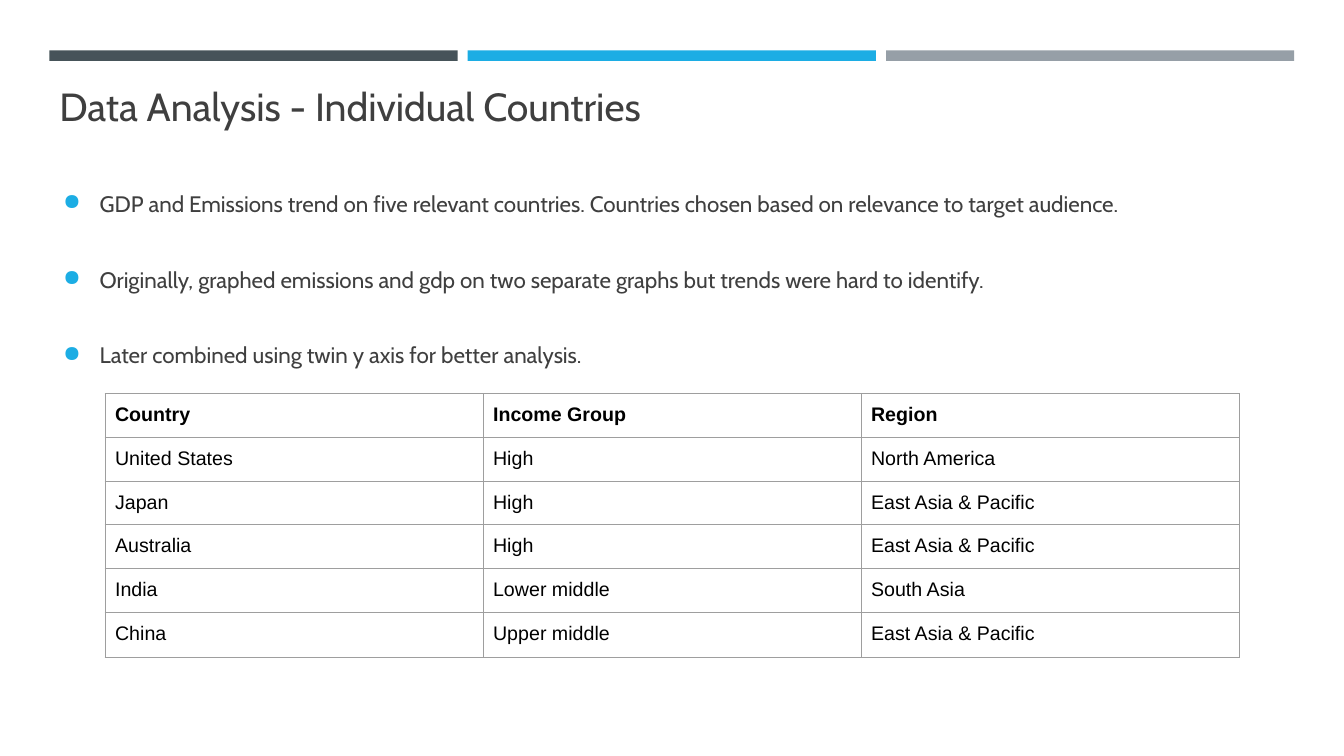
from lxml.etree import SubElement
from pptx import Presentation
from pptx.dml.color import RGBColor
from pptx.enum.shapes import MSO_SHAPE
from pptx.enum.text import MSO_ANCHOR
from pptx.oxml.ns import qn
from pptx.util import Pt

# Content
TITLE = "Data Analysis - Individual Countries"
BULLETS = [
    "GDP and Emissions trend on five relevant countries. Countries chosen based on relevance to target audience.",
    "Originally, graphed emissions and gdp on two separate graphs but trends were hard to identify.",
    "Later combined using twin y axis for better analysis.",
]
COUNTRIES = [
    ("Country", "Income Group", "Region"),
    ("United States", "High", "North America"),
    ("Japan", "High", "East Asia & Pacific"),
    ("Australia", "High", "East Asia & Pacific"),
    ("India", "Lower middle", "South Asia"),
    ("China", "Upper middle", "East Asia & Pacific"),
]

# Style
SLATE = RGBColor(0x46, 0x53, 0x59)
BLUE = RGBColor(0x1C, 0xAD, 0xE4)
GRAY = RGBColor(0x96, 0x9F, 0xA7)
TEXT = RGBColor(0x3F, 0x3F, 0x3F)
BLACK = RGBColor(0, 0, 0)
BORDER = RGBColor(0x9E, 0x9E, 0x9E)

# Layout in points
BAR_LEFT, BAR_TOP, BAR_WIDTH, BAR_HEIGHT, BAR_STEP = 35.3, 36, 291.6, 7.5, 298.8
TABLE_LEFT, TABLE_TOP, COLUMN_WIDTH = 75, 281.2, 270
ROW_HEIGHT, LAST_ROW_HEIGHT = 30.2, 32.2


def style_runs(paragraph, font_name, size, color, bold=False):
    for run in paragraph.runs:
        run.font.name = font_name
        run.font.size = Pt(size)
        run.font.color.rgb = color
        run.font.bold = bold


def add_text_frame(slide, left, top, width, height, anchor):
    box = slide.shapes.add_textbox(Pt(left), Pt(top), Pt(width), Pt(height))
    box.text_frame.word_wrap = True
    box.text_frame.vertical_anchor = anchor
    return box.text_frame


def add_bullet(paragraph):
    properties = paragraph._p.get_or_add_pPr()
    properties.set("marL", str(Pt(36)))
    properties.set("indent", str(Pt(-26)))
    color = SubElement(properties, qn("a:buClr"))
    SubElement(color, qn("a:srgbClr"), val=str(BLUE))
    SubElement(properties, qn("a:buChar"), char="●")


def add_borders(cell):
    properties = cell._tc.get_or_add_tcPr()
    for position, side in enumerate(("a:lnL", "a:lnR", "a:lnT", "a:lnB")):
        line = properties.makeelement(qn(side), {"w": str(Pt(0.75))})
        fill = SubElement(line, qn("a:solidFill"))
        SubElement(fill, qn("a:srgbClr"), val=str(BORDER))
        properties.insert(position, line)


def main():
    presentation = Presentation()
    presentation.slide_width, presentation.slide_height = Pt(960), Pt(540)
    slide = presentation.slides.add_slide(presentation.slide_layouts[6])

    # Header bars
    for index, color in enumerate((SLATE, BLUE, GRAY)):
        bar = slide.shapes.add_shape(
            MSO_SHAPE.RECTANGLE, Pt(BAR_LEFT + index * BAR_STEP), Pt(BAR_TOP),
            Pt(BAR_WIDTH), Pt(BAR_HEIGHT))
        bar.shadow.inherit = False
        bar.fill.solid()
        bar.fill.fore_color.rgb = color
        bar.line.fill.background()

    # Title
    title_frame = add_text_frame(slide, 35.3, 47.5, 868.3, 48.2, MSO_ANCHOR.BOTTOM)
    title_frame.text = TITLE
    style_runs(title_frame.paragraphs[0], "Cabin", 28, TEXT)

    # Bullets
    bullet_frame = add_text_frame(slide, 28.1, 130.3, 895, 180.7, MSO_ANCHOR.TOP)
    bullet_frame.text = "\n".join(BULLETS)
    for index, paragraph in enumerate(bullet_frame.paragraphs):
        paragraph.line_spacing = 1.1
        paragraph.space_before = Pt(33 if index else 0)
        add_bullet(paragraph)
        style_runs(paragraph, "Cabin", 16, TEXT)

    # Country table
    row_count, column_count = len(COUNTRIES), len(COUNTRIES[0])
    heights = [ROW_HEIGHT] * (row_count - 1) + [LAST_ROW_HEIGHT]
    table = slide.shapes.add_table(
        row_count, column_count, Pt(TABLE_LEFT), Pt(TABLE_TOP),
        Pt(COLUMN_WIDTH * column_count), Pt(sum(heights))).table
    table.horz_banding = False
    for row, height in zip(table.rows, heights):
        row.height = Pt(height)
    for row_index, values in enumerate(COUNTRIES):
        for column_index, value in enumerate(values):
            cell = table.cell(row_index, column_index)
            cell.text = value
            cell.fill.background()
            cell.margin_left = cell.margin_right = Pt(7.2)
            cell.margin_top = cell.margin_bottom = Pt(7.2)
            style_runs(cell.text_frame.paragraphs[0], "Arial", 14, BLACK, bold=row_index == 0)
            add_borders(cell)

    presentation.save("out.pptx")


if __name__ == "__main__":
    main()
